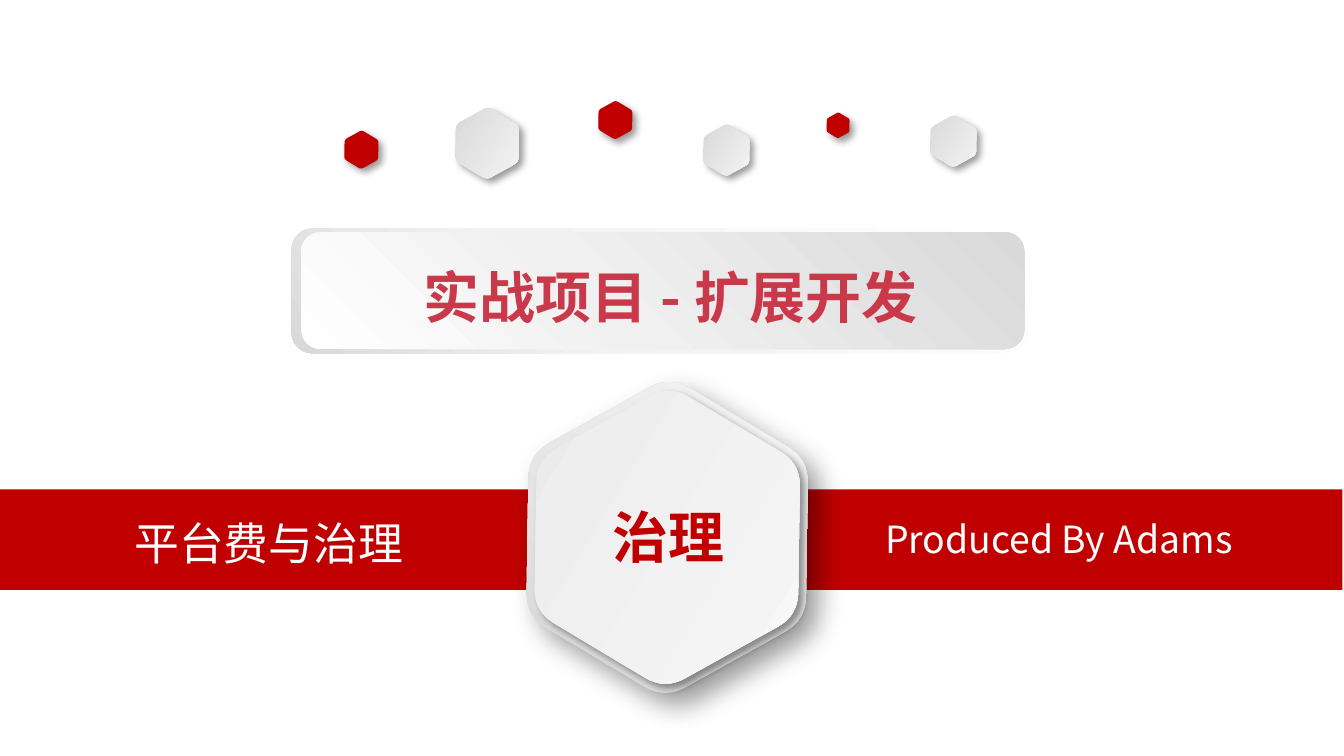
from math import cos, pi, sin, sqrt

from lxml.etree import SubElement
from pptx import Presentation
from pptx.dml.color import RGBColor
from pptx.enum.shapes import MSO_SHAPE
from pptx.enum.text import MSO_ANCHOR, MSO_AUTO_SIZE, PP_ALIGN
from pptx.oxml.ns import qn
from pptx.util import Cm, Pt

COLORS = {
    "red": "C00000",
    "title": "C9394A",
    "white": "FFFFFF",
    "black": "000000",
    "silver": "D3D3D3",
    "pale": "E9E9E9",
    "light": "F9F9F9",
    "mist": "F2F2F2",
    "cloud": "F0F0F0",
    "grey": "D9D9D9",
}
SILVER = [(0, "silver"), (100, "light")]
PALE = [(0, "pale"), (100, "light")]


def add_shadow(effects, blur=4, distance=3):
    shadow = SubElement(effects, qn("a:outerShdw"), blurRad=str(Pt(blur)),
                        dist=str(Pt(distance)), dir="2700000", algn="tl", rotWithShape="0")
    color = SubElement(shadow, qn("a:srgbClr"), val=COLORS["black"])
    SubElement(color, qn("a:alpha"), val="40000")


def write_text(shape, text, font="Noto Sans CJK SC", size=30, color="red", bold=False,
               align=PP_ALIGN.CENTER, anchor=MSO_ANCHOR.TOP, shadow=False):
    frame = shape.text_frame
    frame.word_wrap = True
    frame.auto_size = MSO_AUTO_SIZE.NONE
    frame.vertical_anchor = anchor
    paragraph = frame.paragraphs[0]
    paragraph.alignment = align
    run = paragraph.add_run()
    run.text = text
    run.font.size = Pt(size)
    run.font.bold = bold
    run.font.color.rgb = RGBColor.from_string(COLORS[color])
    run.font.name = font
    properties = run.font._element
    SubElement(properties, qn("a:ea"), typeface=font)
    if shadow:
        effects = SubElement(properties, qn("a:effectLst"))
        add_shadow(effects)
        properties.find(qn("a:latin")).addprevious(effects)


class CoverSlide:
    tilt = 30.9
    corner = 0.15
    corner_steps = 8

    def __init__(self, presentation):
        self.slide = presentation.slides.add_slide(presentation.slide_layouts[5])
        self.shapes = self.slide.shapes

    def paint(self, shape, fill=None, angle=0):
        shape.line.fill.background()
        shape.shadow.inherit = False
        if fill is None:
            shape.fill.background()
        elif isinstance(fill, str):
            shape.fill.solid()
            shape.fill.fore_color.rgb = RGBColor.from_string(COLORS[fill])
        else:
            shape.fill.gradient()
            gradient = shape._element.spPr.find(qn("a:gradFill"))
            gradient.clear()
            gradient.set("rotWithShape", "1")
            stops = SubElement(gradient, qn("a:gsLst"))
            for position, color in fill:
                stop = SubElement(stops, qn("a:gs"), pos=str(position * 1000))
                SubElement(stop, qn("a:srgbClr"), val=COLORS[color])
            SubElement(gradient, qn("a:lin"), ang=str(angle * 60000), scaled="0")
        return shape

    def box(self, kind, left, top, width, height, fill=None, angle=0):
        shape = self.shapes.add_shape(kind, Cm(left), Cm(top), Cm(width), Cm(height))
        return self.paint(shape, fill, angle)

    def label(self, text, left, top, width, height, **style):
        shape = self.shapes.add_textbox(Cm(left), Cm(top), Cm(width), Cm(height))
        write_text(shape, text, **style)

    def title(self, text, left, top, width, height, **style):
        shape = self.shapes.title
        shape.left, shape.top, shape.width, shape.height = map(Cm, (left, top, width, height))
        write_text(shape, text, **style)
        self.shapes._spTree.append(shape._element)

    def hexagon(self, center_x, center_y, height, fill, angle=0, blur=4, distance=3):
        side = height / sqrt(3)
        vertices = [(center_x + side * cos(i * pi / 3), center_y + side * sin(i * pi / 3))
                    for i in range(6)]
        points = []
        for i, vertex in enumerate(vertices):
            before, after = vertices[i - 1], vertices[(i + 1) % 6]
            for step in range(self.corner_steps + 1):
                t = step / self.corner_steps
                pull_back = self.corner * (1 - t) ** 2
                pull_on = self.corner * t ** 2
                points.append(tuple(
                    Cm(v + pull_back * (b - v) + pull_on * (a - v))
                    for v, b, a in zip(vertex, before, after)))
        builder = self.shapes.build_freeform(*points[0])
        builder.add_line_segments(points[1:], close=True)
        shape = self.paint(builder.convert_to_shape(), fill, angle)
        shape.rotation = self.tilt
        add_shadow(shape._element.spPr.find(qn("a:effectLst")), blur, distance)


def main():
    presentation = Presentation()
    presentation.slide_width = Cm(25.4)
    presentation.slide_height = Cm(14.29)
    cover = CoverSlide(presentation)

    cover.box(MSO_SHAPE.RECTANGLE, -0.03, 9.25, 25.4, 1.9, "red")
    cover.label("平台费与治理", 0.61, 9.63, 8.94, 1.27, size=24, color="white")
    cover.label("Produced By Adams", 16.48, 9.63, 8.89, 1.12, size=20, color="white",
                align=PP_ALIGN.LEFT)

    for center_x, center_y, height, fill in [
        (9.21, 2.71, 1.19, SILVER),
        (11.63, 2.27, 0.64, "red"),
        (6.83, 2.83, 0.64, "red"),
        (13.73, 2.84, 0.86, SILVER),
        (15.84, 2.37, 0.43, "red"),
        (18.02, 2.67, 0.86, SILVER),
    ]:
        cover.hexagon(center_x, center_y, height, fill)

    cover.hexagon(12.61, 10.16, 5.28, SILVER, angle=270, blur=15, distance=9)
    cover.hexagon(12.61, 10.16, 4.98, PALE)

    cover.box(MSO_SHAPE.ROUNDED_RECTANGLE, 5.51, 4.32, 13.92, 2.36,
              [(0, "white"), (62, "mist"), (100, "grey")], angle=135)
    cover.box(MSO_SHAPE.ROUNDED_RECTANGLE, 5.69, 4.39, 13.67, 2.21,
              [(0, "white"), (42, "cloud"), (100, "grey")], angle=315)
    cover.title("实战项目 - 扩展开发", 5.72, 4.83, 13.92, 1.52, color="title", bold=True)

    badge = cover.box(MSO_SHAPE.ROUNDED_RECTANGLE, 10.13, 9.5, 5, 1.27)
    write_text(badge, "治理", bold=True, anchor=MSO_ANCHOR.MIDDLE, shadow=True)

    presentation.save("out.pptx")


if __name__ == "__main__":
    main()
